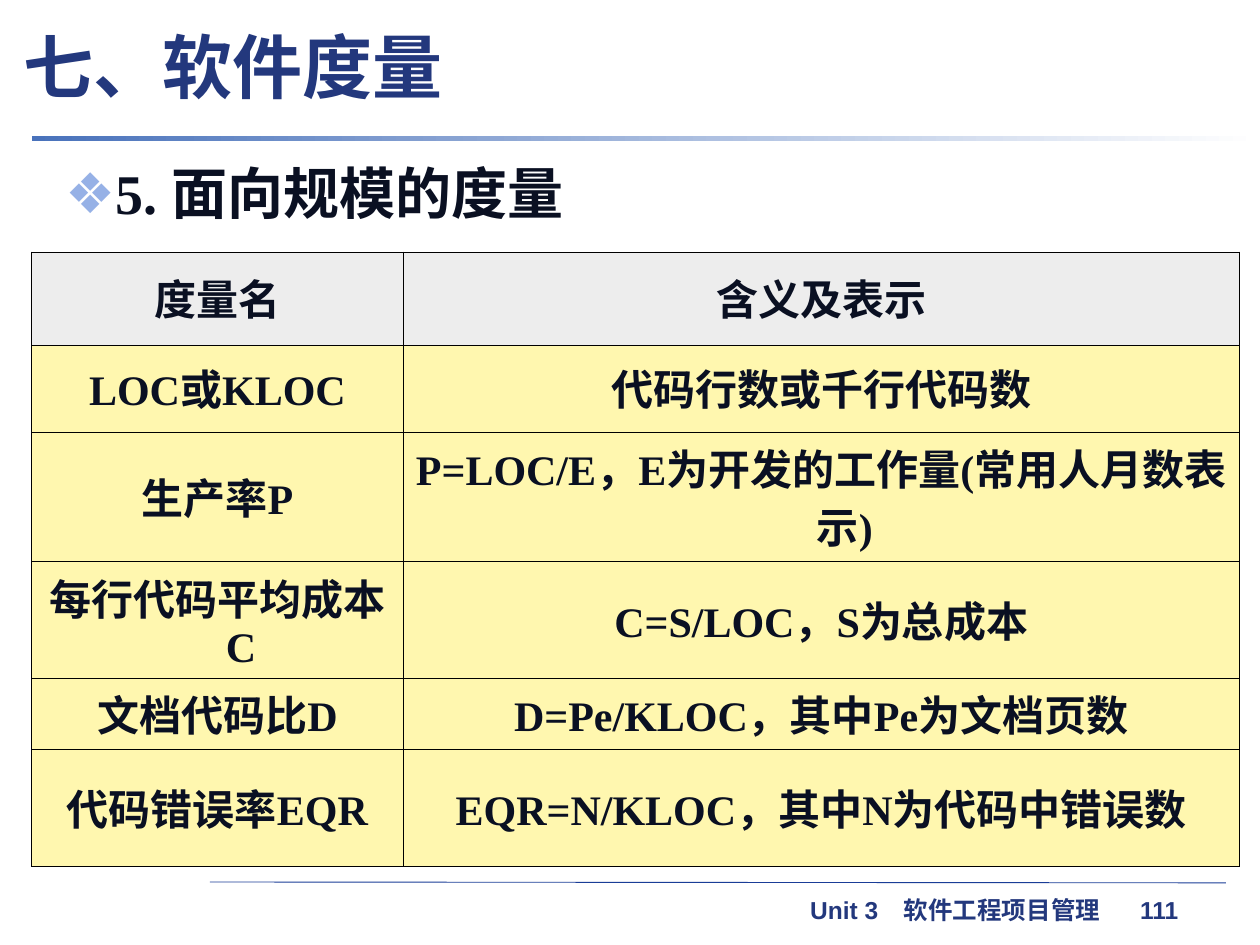
from lxml.etree import SubElement as Sub
from pptx import Presentation
from pptx.dml.color import RGBColor as RGB
from pptx.enum.shapes import MSO_CONNECTOR as Conn, MSO_SHAPE as Shape
from pptx.enum.text import MSO_ANCHOR as Anchor, MSO_AUTO_SIZE as Auto, PP_ALIGN as Align
from pptx.oxml.ns import qn
from pptx.util import Pt

NAVY = RGB(0x23, 0x38, 0x7D)
INK = RGB(0x0A, 0x10, 0x22)
BLUE = RGB(0x49, 0x72, 0xBB)
RULE = RGB(0x1A, 0x3D, 0x97)
PALE = RGB(0x96, 0xB1, 0xE6)
GREY = RGB(0xDD, 0xDD, 0xDD)
CREAM = RGB(0xFF, 0xF7, 0xAF)
WHITE = RGB(0xFF, 0xFF, 0xFF)
BLACK = RGB(0, 0, 0)

SANS, SERIF, HAN = "Arial", "Times New Roman", "Noto Sans CJK SC"
HANG = 27

ROWS = [
    ("度量名", "含义及表示"),
    ("LOC或KLOC", "代码行数或千行代码数"),
    ("生产率P", "P=LOC/E，E为开发的工作量(常用人月数表示)"),
    ("每行代码平均成本C", "C=S/LOC，S为总成本"),
    ("文档代码比D", "D=Pe/KLOC，其中Pe为文档页数"),
    ("代码错误率EQR", "EQR=N/KLOC，其中N为代码中错误数"),
]
WIDTHS = [212.5, 477.5]
HEIGHTS = [53.2, 49.8, 73.8, 67, 40.4, 67]

# left, width, text
FOOTER = [
    (463, 50, "Unit 3"),
    (516.5, 125, "软件工程项目管理"),
    (651.5, 40, "111"),
]


def write(frame, text, size, font=SERIF, color=INK, align=None,
          hang=0, line=None, before=None, bullet=None):
    """Fill the frame with one bold paragraph."""
    para = frame.paragraphs[0]
    props = para._p.get_or_add_pPr()
    props.set("marL", str(Pt(hang)))
    props.set("indent", str(-Pt(hang)))
    if bullet:
        tint = Sub(props, qn("a:buClr"))
        Sub(tint, qn("a:srgbClr"), val=str(PALE))
        Sub(props, qn("a:buChar"), char=bullet)
    if align is not None:
        para.alignment = align
    if line:
        para.line_spacing = line
    if before is not None:
        para.space_before = Pt(before)
    run = para.add_run()
    run.text = text
    run.font.size = Pt(size)
    run.font.bold = True
    run.font.color.rgb = color
    run.font.name = font
    Sub(run._r.get_or_add_rPr(), qn("a:ea"), typeface=HAN)


def edge(cell, color=BLACK, width=0.45):
    """Draw the four borders of a cell."""
    props = cell._tc.get_or_add_tcPr()
    for i, side in enumerate("LRTB"):
        line = Sub(props, qn(f"a:ln{side}"), w=str(Pt(width)))
        fill = Sub(line, qn("a:solidFill"))
        Sub(fill, qn("a:srgbClr"), val=str(color))
        props.insert(i, line)


class Page:
    def __init__(self, deck):
        self.slide = deck.slides.add_slide(deck.slide_layouts[1])
        self.shapes = self.slide.shapes

    def holder(self, idx, box, text, size, anchor, **style):
        item = self.slide.placeholders[idx]
        item.left, item.top, item.width, item.height = map(Pt, box)
        frame = item.text_frame
        frame.auto_size = Auto.NONE
        frame.vertical_anchor = anchor
        write(frame, text, size, **style)

    def label(self, box, text, size, **style):
        frame = self.shapes.add_textbox(*map(Pt, box)).text_frame
        frame.word_wrap = True
        frame.margin_left = frame.margin_right = 0
        frame.margin_top = frame.margin_bottom = 0
        write(frame, text, size, **style)

    def line(self, *ends):
        item = self.shapes.add_connector(Conn.STRAIGHT, *map(Pt, ends))
        item.line.color.rgb = RULE
        item.line.width = Pt(0.5)
        Sub(item._element.spPr, qn("a:effectLst"))

    def fade(self, box, start, end):
        """Add a bar that blends from left to right."""
        bar = self.shapes.add_shape(Shape.RECTANGLE, *map(Pt, box))
        bar.shadow.inherit = False
        bar.line.fill.background()
        bar.fill.gradient()
        bar.fill.gradient_angle = 0
        for stop, color in zip(bar.fill.gradient_stops, (start, end)):
            stop.color.rgb = color

    def table(self, left, top, rows, widths, heights):
        box = map(Pt, (left, top, sum(widths), sum(heights)))
        grid = self.shapes.add_table(len(rows), len(widths), *box).table
        grid.first_row = grid.horz_banding = False
        for col, width in zip(grid.columns, widths):
            col.width = Pt(width)
        for r, (row, height) in enumerate(zip(rows, heights)):
            grid.rows[r].height = Pt(height)
            for c, text in enumerate(row):
                self.cell(grid.cell(r, c), text, head=r == 0)

    def cell(self, cell, text, head):
        cell.vertical_anchor = Anchor.MIDDLE
        cell.fill.solid()
        cell.fill.fore_color.rgb = GREY if head else CREAM
        if head:
            tint = cell._tc.tcPr.find(".//" + qn("a:srgbClr"))
            Sub(tint, qn("a:alpha"), val="50000")
        edge(cell)
        write(cell.text_frame, text, 24, align=Align.CENTER, hang=HANG, line=0.95)


def main():
    deck = Presentation()
    deck.slide_width, deck.slide_height = Pt(720), Pt(540)
    page = Page(deck)
    page.line(120, 504, 700.5, 504.5)
    for left, width, text in FOOTER:
        page.label((left, 511.5, width, 17), text, 14, font=SANS, color=NAVY)
    page.fade((18, 78, 702, 2.5), BLUE, WHITE)
    page.holder(0, (6, 8.5, 600, 57.5), "七、软件度量", 40, Anchor.MIDDLE,
                font=HAN, color=NAVY, align=Align.LEFT)
    page.holder(1, (30, 90, 665, 138), "5. 面向规模的度量", 32, Anchor.TOP,
                hang=HANG, line=0.95, before=8, bullet="❖")
    page.table(18, 144, ROWS, WIDTHS, HEIGHTS)
    deck.save("out.pptx")


if __name__ == "__main__":
    main()
